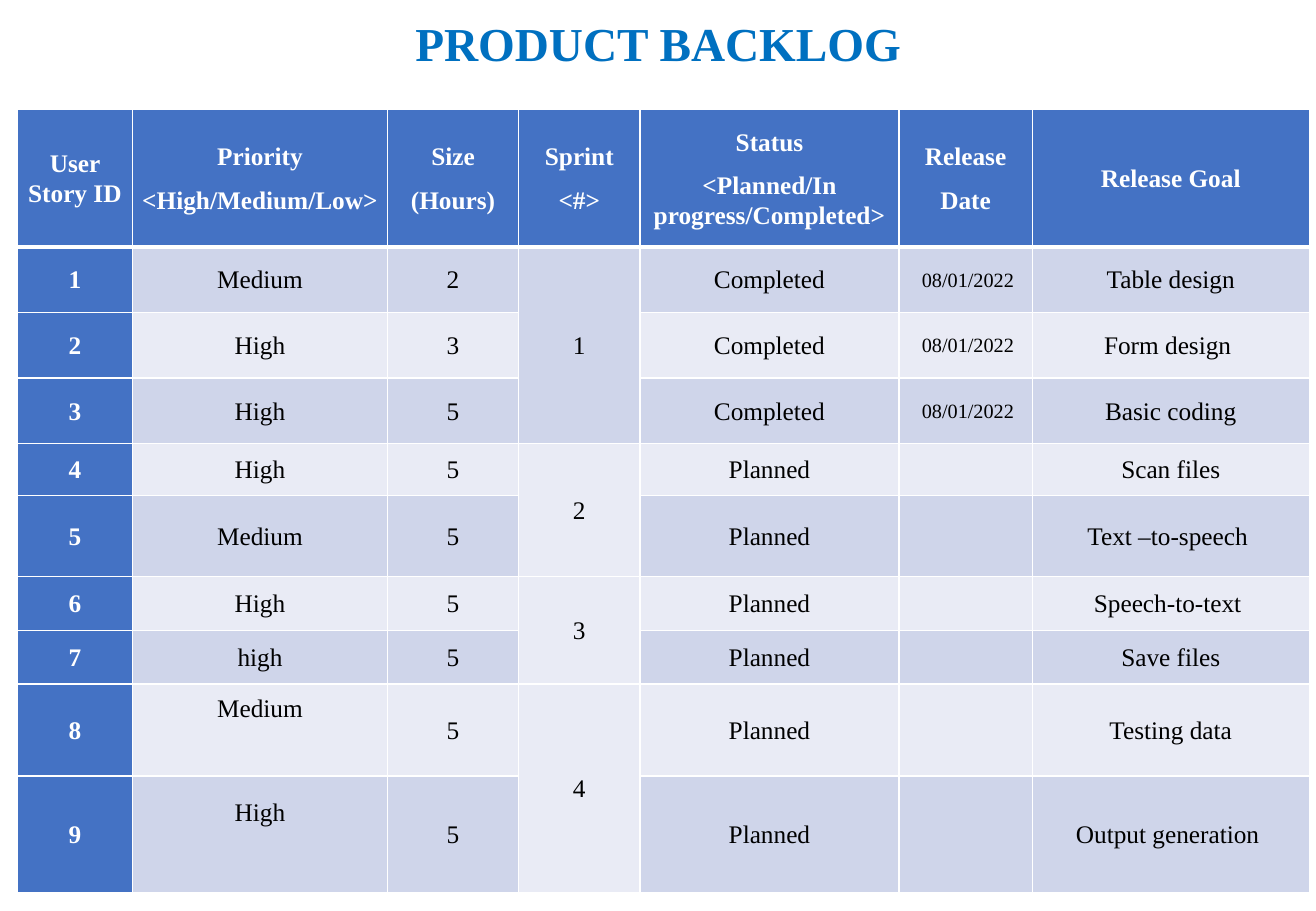
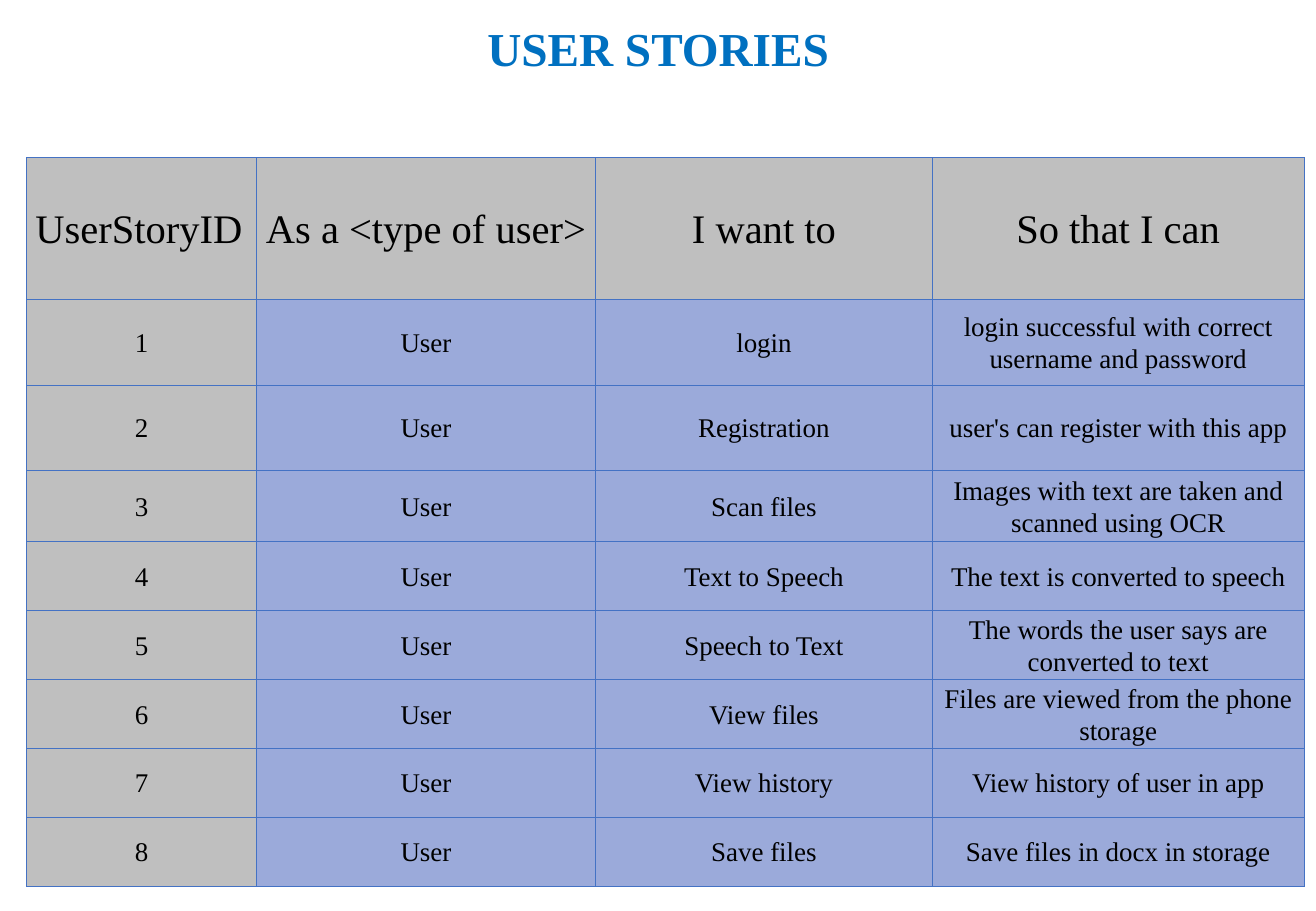
import pptx
import pptx.dml.color
import pptx.enum.text
import pptx.oxml
import pptx.oxml.ns
import pptx.util
from pptx.util import Cm, Pt

RGBColor = pptx.dml.color.RGBColor
ALIGN = pptx.enum.text.PP_ALIGN
MIDDLE = pptx.enum.text.MSO_ANCHOR.MIDDLE

# Shared look
FONT = "Times New Roman"
TITLE_BLUE = RGBColor(0x00, 0x70, 0xC0)
BLUE = RGBColor(0x44, 0x72, 0xC4)
BAND_DARK = RGBColor(0xCF, 0xD5, 0xEA)
BAND_LIGHT = RGBColor(0xE9, 0xEB, 0xF5)
GREY = RGBColor(0xBF, 0xBF, 0xBF)
PERIWINKLE = RGBColor(0x9B, 0xAA, 0xDA)
WHITE = RGBColor(0xFF, 0xFF, 0xFF)
BLACK = RGBColor(0x00, 0x00, 0x00)
SIDE_MARGIN = Cm(0.18)

# Product backlog content
BACKLOG_COLUMNS = [2.41, 5.33, 2.74, 2.54, 5.41, 2.79, 5.79]
BACKLOG_HEIGHTS = [2.87, 1.37, 1.37, 1.37, 1.09, 1.7, 1.12, 1.12, 1.93, 2.44]
BACKLOG_HEADER = [
    "User Story ID", "Priority\n<High/Medium/Low>", "Size\n(Hours)", "Sprint\n<#>",
    "Status\n<Planned/In progress/Completed>", "Release\nDate", "Release Goal",
]
RELEASED = "08/01/2022"
BACKLOG = [
    ("Medium", "2", "1", "Completed", RELEASED, "Table design"),
    ("High", "3", "", "Completed", RELEASED, "Form design "),
    ("High", "5", "", "Completed", RELEASED, "Basic coding"),
    ("High", "5", "2", "Planned", "", "Scan files"),
    ("Medium", "5", "", "Planned", "", "Text –to-speech "),
    ("High", "5", "3", "Planned", "", "Speech-to-text "),
    ("high", "5", "", "Planned", "", "Save files"),
    ("Medium", "5", "4", "Planned", "", "Testing data"),
    ("High", "5", "", "Planned", "", "Output generation "),
]
SPRINT_COLUMN, DATE_COLUMN = 3, 5
SPRINT_ROWS = [(1, 3), (4, 5), (6, 7), (8, 9)]
RAISED_PRIORITY_ROWS = (8, 9)

# User stories content
STORY_COLUMNS = [4.8, 7.09, 7.04, 7.77]
STORY_HEIGHTS = [2.95, 1.8, 1.78, 1.5] + [1.44] * 5
STORY_HEADER = ["UserStoryID", "As a <type of user>", "I want to", "So that I can"]
STORIES = [
    ("login", "login successful with correct username and password"),
    ("Registration", "user's can register with this app"),
    ("Scan files", "Images with text are taken and scanned using OCR"),
    ("Text to Speech", "The text is converted to speech"),
    ("Speech to Text", "The words the user says are converted to text"),
    ("View files", "Files are viewed from the phone storage"),
    ("View history", "View history of user in app"),
    ("Save files", "Save files in docx in storage"),
]


def add_run(paragraph, text, size, color, bold):
    run = paragraph.add_run()
    run.text = text
    run.font.name = FONT
    run.font.size = Pt(size)
    run.font.bold = bold
    run.font.color.rgb = color


def add_titled_slide(presentation, text, title_height):
    slide = presentation.slides.add_slide(presentation.slide_layouts[5])
    title = slide.shapes.title
    title.left, title.top = Cm(1.37), Cm(0)
    title.width, title.height = Cm(24.77), Cm(title_height)
    title.text_frame.vertical_anchor = MIDDLE
    paragraph = title.text_frame.paragraphs[0]
    paragraph.alignment = ALIGN.CENTER
    paragraph.line_spacing = 0.9
    add_run(paragraph, text, 28, TITLE_BLUE, True)
    return slide


def add_grid(slide, left, top, widths, heights):
    frame = slide.shapes.add_table(len(heights), len(widths), Cm(left), Cm(top),
                                   Cm(sum(widths)), Cm(sum(heights)))
    table = frame.table
    table.first_row = table.horz_banding = False
    for column, width in zip(table.columns, widths):
        column.width = Cm(width)
    for row, height in zip(table.rows, heights):
        row.height = Cm(height)
    return table


def set_borders(cell, color, width, top=None, bottom=None):
    properties = cell._tc.get_or_add_tcPr()
    sides = [("lnL", width), ("lnR", width), ("lnT", top or width), ("lnB", bottom or width)]
    for index, (side, points) in enumerate(sides):
        line = pptx.oxml.parse_xml(
            f'<a:{side} {pptx.oxml.ns.nsdecls("a")} w="{Pt(points)}"><a:solidFill>'
            f'<a:srgbClr val="{color}"/></a:solidFill></a:{side}>')
        properties.insert(index, line)


def fill_cell(cell, text, fill, size, color=BLACK, bold=False, alignment=ALIGN.CENTER):
    cell.fill.solid()
    cell.fill.fore_color.rgb = fill
    cell.vertical_anchor = MIDDLE
    cell.margin_left = cell.margin_right = SIDE_MARGIN
    cell.margin_top = cell.margin_bottom = 0
    for index, line in enumerate(text.split("\n") if text else []):
        frame = cell.text_frame
        paragraph = frame.add_paragraph() if index else frame.paragraphs[0]
        paragraph.alignment = alignment
        paragraph.line_spacing = 1.07
        paragraph.space_after = Pt(8)
        add_run(paragraph, line, size, color, bold)


def build_backlog(presentation):
    slide = add_titled_slide(presentation, "PRODUCT BACKLOG", 1.93)
    table = add_grid(slide, 0.36, 2.29, BACKLOG_COLUMNS, BACKLOG_HEIGHTS)
    rows = [BACKLOG_HEADER] + [(str(number), *row) for number, row in enumerate(BACKLOG, 1)]
    for row_index, row in enumerate(rows):
        band = BAND_DARK if row_index % 2 else BAND_LIGHT
        for column_index, text in enumerate(row):
            cell = table.cell(row_index, column_index)
            if row_index == 0 or column_index == 0:
                fill_cell(cell, text, BLUE, 15, WHITE, True)
            else:
                fill_cell(cell, text, band, 12 if column_index == DATE_COLUMN else 15)
            # Thick rule under the header
            set_borders(cell, WHITE, 1, top=3 if row_index == 1 else None,
                        bottom=3 if row_index == 0 else None)
    for row_index, row in enumerate(BACKLOG, 1):
        if row[DATE_COLUMN - 1]:
            table.cell(row_index, DATE_COLUMN).margin_left = Cm(0.28)
    for row_index in RAISED_PRIORITY_ROWS:
        table.cell(row_index, 1).margin_bottom = Cm(0.93)
    for first, last in SPRINT_ROWS:
        table.cell(first, SPRINT_COLUMN).merge(table.cell(last, SPRINT_COLUMN))


def build_stories(presentation):
    slide = add_titled_slide(presentation, "USER STORIES", 2.13)
    table = add_grid(slide, 0.56, 3.3, STORY_COLUMNS, STORY_HEIGHTS)
    rows = [STORY_HEADER] + [(str(number), "User", *story)
                             for number, story in enumerate(STORIES, 1)]
    for row_index, row in enumerate(rows):
        for column_index, text in enumerate(row):
            cell = table.cell(row_index, column_index)
            is_heading = row_index == 0 or column_index == 0
            is_corner = row_index == column_index == 0
            fill_cell(cell, text, GREY if is_heading else PERIWINKLE,
                      16 if row_index else 24,
                      alignment=ALIGN.LEFT if is_corner else ALIGN.CENTER)
            set_borders(cell, BLUE, 0.5)


def main():
    presentation = pptx.Presentation()
    presentation.slide_width, presentation.slide_height = Cm(27.51), Cm(19.05)
    build_backlog(presentation)
    build_stories(presentation)
    presentation.save("out.pptx")


if __name__ == "__main__":
    main()
